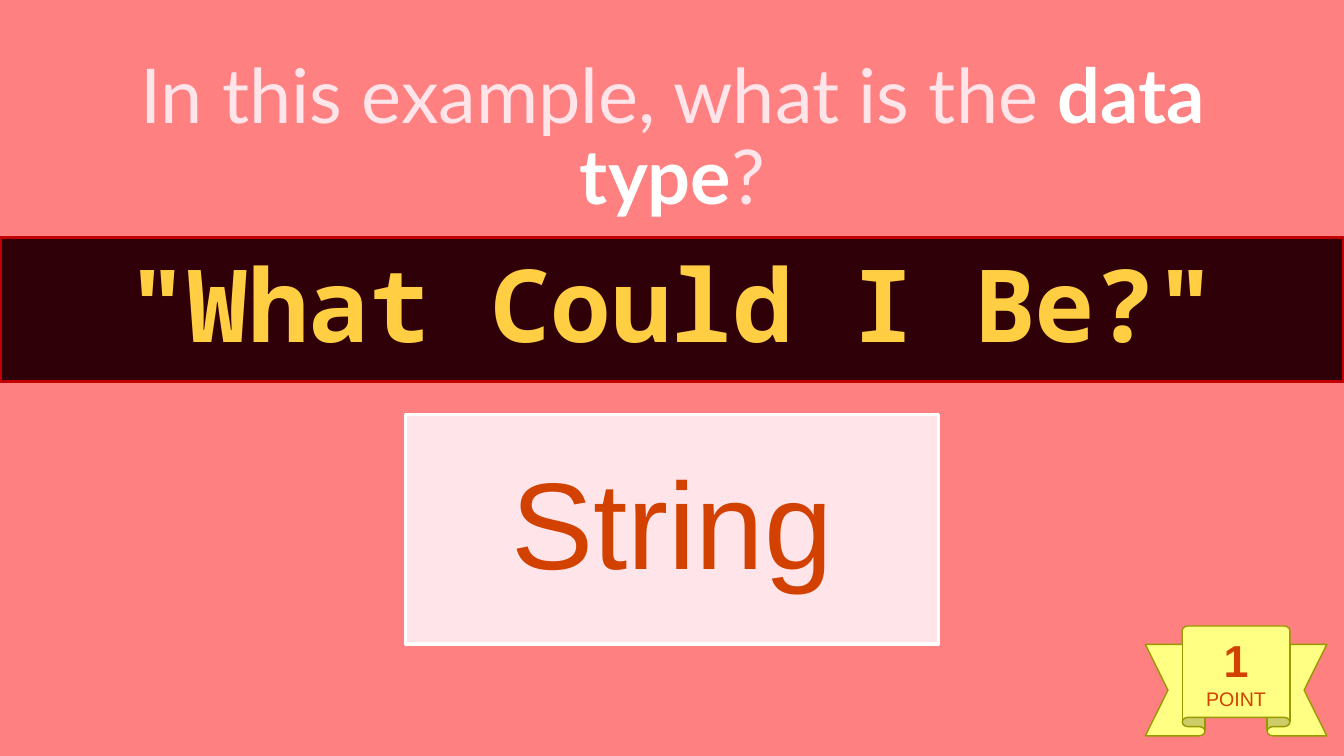
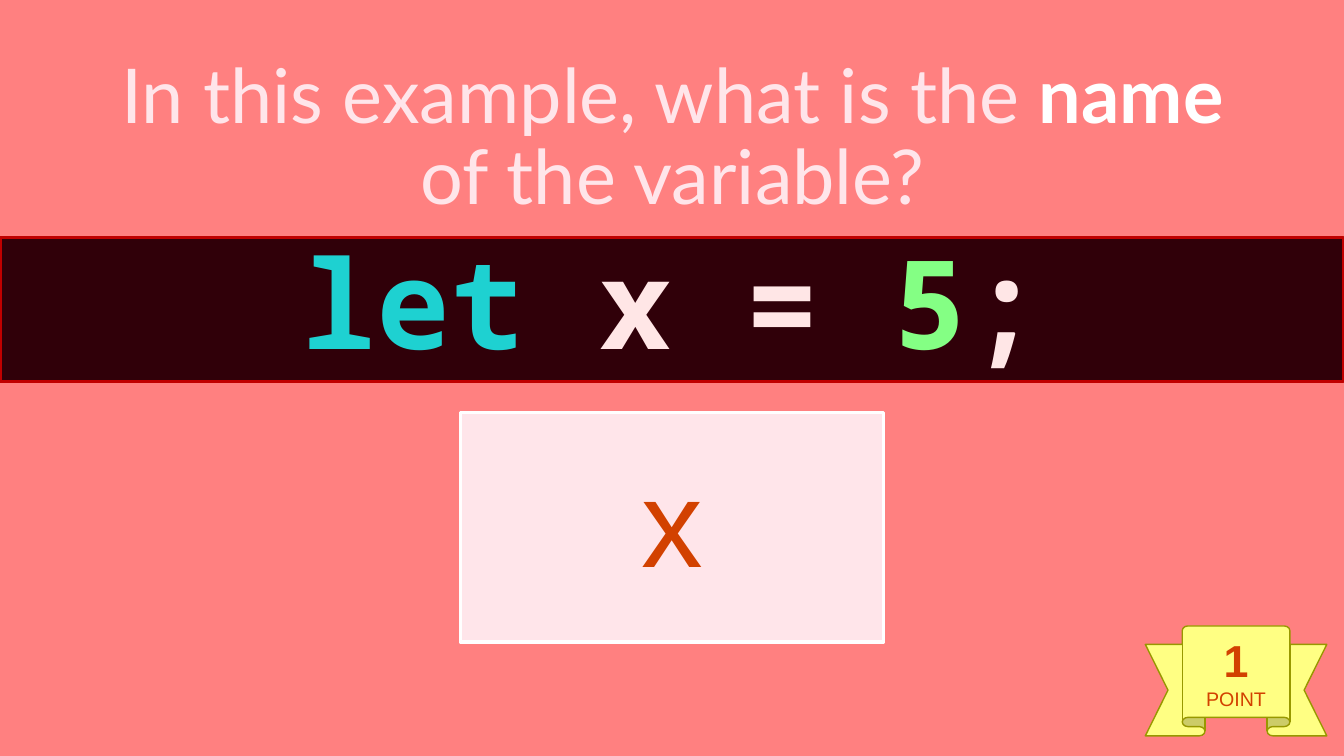
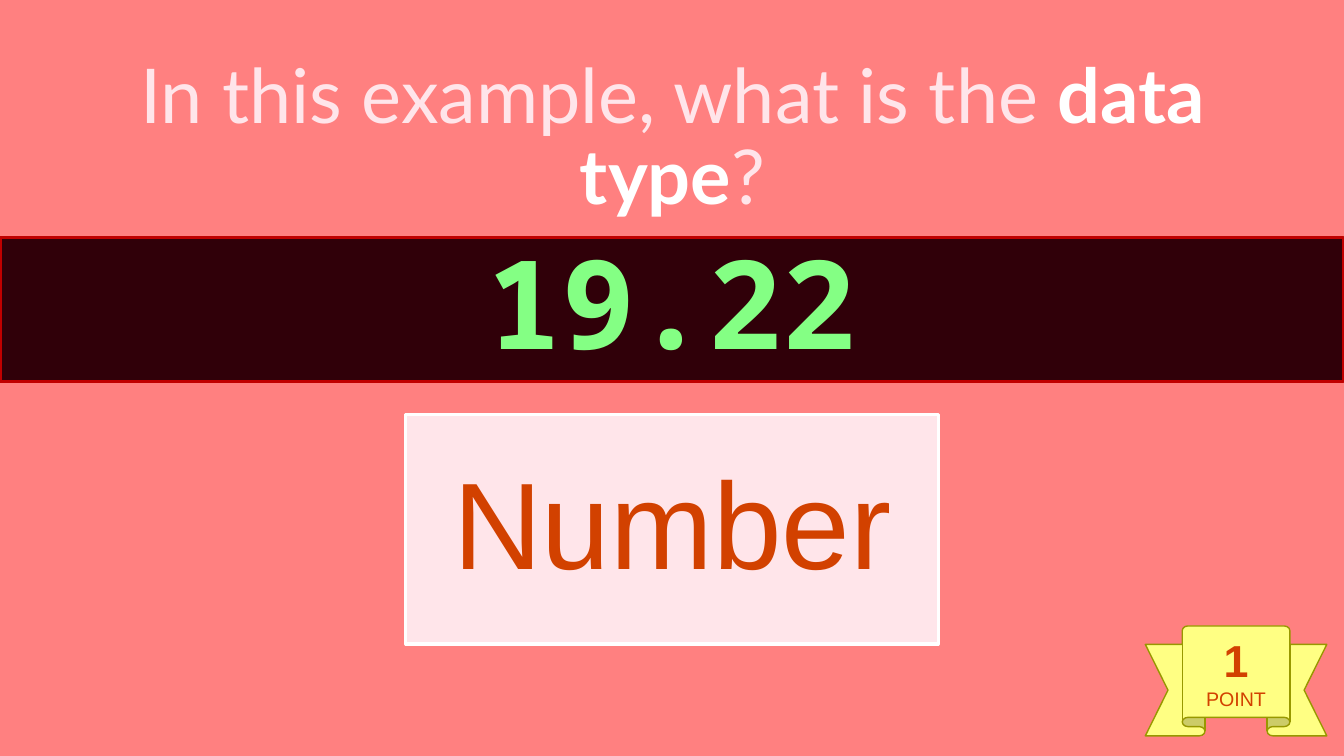
from dataclasses import dataclass
from pptx import Presentation
from pptx.dml.color import RGBColor
from pptx.enum.shapes import MSO_SHAPE
from pptx.enum.text import MSO_ANCHOR, MSO_AUTO_SIZE, PP_ALIGN
from pptx.util import Inches, Pt

RECT = MSO_SHAPE.RECTANGLE
RIBBON = MSO_SHAPE.UP_RIBBON
MIDDLE = MSO_ANCHOR.MIDDLE
CENTER = PP_ALIGN.CENTER
NO_FIT = MSO_AUTO_SIZE.NONE
TITLE_ONLY = 5
WIDE, HIGH = 13.33, 7.5


@dataclass(frozen=True)
class Theme:
    """Colours, fonts and type sizes of the deck."""
    back: str = "FF8080"
    pale: str = "FFE5EA"
    white: str = "FFFFFF"
    band: str = "300009"
    edge: str = "C00000"
    gold: str = "FFCE43"
    cyan: str = "1ED1D1"
    code: str = "FFE6E6"
    green: str = "84FF84"
    badge: str = "FFFF83"
    olive: str = "989800"
    rust: str = "D24100"
    head: str = "Lato"
    mono: str = "Noto Sans Mono"
    sans: str = "Arial"
    title: int = 54
    long: int = 72
    big: int = 88
    score: int = 32
    unit: int = 14


T = Theme()


def rgb(hue):
    """Turn a hex string into a colour."""
    return RGBColor.from_string(hue)


def write(para, runs, font, size, bold=False, lead=None, before=None):
    """Fill a centred paragraph from (text, colour[, bold]) runs."""
    para.alignment = CENTER
    if lead:
        para.line_spacing = lead
    if before:
        para.space_before = Pt(before)
    for text, hue, *heavy in runs:
        run = para.add_run()
        run.text = text
        run.font.name = font
        run.font.size = Pt(size)
        run.font.bold = heavy[0] if heavy else bold
        run.font.color.rgb = rgb(hue)


def frame(shape):
    """Centre and wrap the text of a shape and return its frame."""
    text = shape.text_frame
    text.word_wrap = True
    text.auto_size = NO_FIT
    text.vertical_anchor = MIDDLE
    return text


def panel(slide, kind, box, fill, line, width):
    """Add a filled, outlined shape."""
    shape = slide.shapes.add_shape(kind, *map(Inches, box))
    shape.shadow.inherit = False
    shape.fill.solid()
    shape.fill.fore_color.rgb = rgb(fill)
    shape.line.color.rgb = rgb(line)
    shape.line.width = Pt(width)
    return shape


def ask(slide, box, runs):
    """Place the question in the title."""
    title = slide.shapes.title
    title.left, title.top, title.width, title.height = map(Inches, box)
    write(frame(title).paragraphs[0], runs, T.head, T.title, lead=0.9)


def show(slide, box, runs, size):
    """Place the band of sample code."""
    band = panel(slide, RECT, box, T.band, T.edge, 2.25)
    write(frame(band).paragraphs[0], runs, T.mono, size, True, 0.9, 10)


def award(slide, box):
    """Place the ribbon with the score."""
    badge = panel(slide, RIBBON, box, T.badge, T.olive, 1)
    badge.adjustments[0] = 0.168
    badge.adjustments[1] = 0.593
    text = frame(badge)
    write(text.paragraphs[0], [("1", T.rust)], T.sans, T.score, True)
    write(text.add_paragraph(), [("POINT", T.rust)], T.sans, T.unit)


def reply(slide, top, width, text):
    """Place the answer card, centred across the slide."""
    box = ((WIDE - width) / 2, top, width, 2.28)
    card = panel(slide, RECT, box, T.pale, T.white, 2.25)
    write(frame(card).paragraphs[0], [(text, T.rust)], T.sans, T.big,
          lead=0.9, before=10)


def quiz(deck, key, rest, code, size, answer, top=4.11, width=5.28):
    """Build one question slide."""
    slide = deck.slides.add_slide(deck.slide_layouts[TITLE_ONLY])
    ask(slide, (0.74, 0.43, 11.86, 1.91),
        [("In this example, what is the ", T.pale),
         (key, T.white, True), (rest, T.pale)])
    show(slide, (0, 2.36, WIDE, 1.43), code, size)
    award(slide, (11.36, 6.21, 1.8, 1.09))
    reply(slide, top, width, answer)


def main():
    """Build and save the deck."""
    deck = Presentation()
    deck.slide_width, deck.slide_height = Inches(WIDE), Inches(HIGH)
    fill = deck.slide_master.background.fill
    fill.solid()
    fill.fore_color.rgb = rgb(T.back)
    quiz(deck, "data type", "?", [('"What Could I Be?"', T.gold)],
         T.long, "String")
    quiz(deck, "name", " of the variable?",
         [("let ", T.cyan), ("x = ", T.code), ("5", T.green), (";", T.code)],
         T.big, "x", 4.09, 4.2)
    quiz(deck, "data type", "?", [("19.22", T.green)], T.big, "Number")
    deck.save("out.pptx")


if __name__ == "__main__":
    main()
